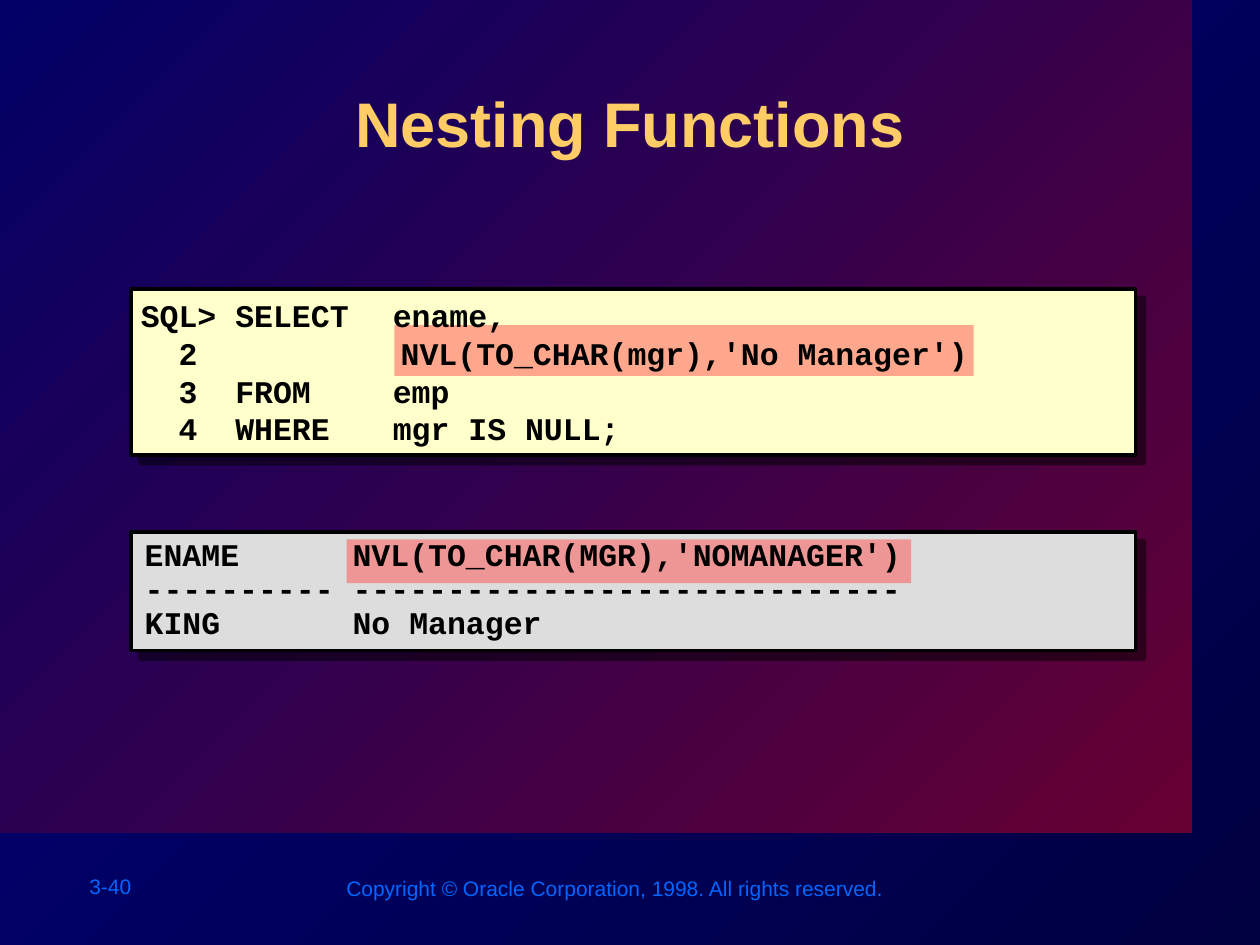
from lxml.etree import SubElement
from pptx import Presentation
from pptx.dml.color import RGBColor
from pptx.enum.shapes import MSO_SHAPE as Shape
from pptx.enum.text import MSO_ANCHOR as Anchor, PP_ALIGN as Align
from pptx.oxml import parse_xml
from pptx.oxml.ns import nsdecls, qn
from pptx.util import Pt

rgb = RGBColor.from_string
SHADOW = (f'<a:outerShdw {nsdecls("a")} blurRad="0" dist="{Pt(7.1)}" dir="2700000" algn="ctr" '
          'rotWithShape="0"><a:srgbClr val="000000"><a:alpha val="50000"/></a:srgbClr></a:outerShdw>')


def add_text(box, lines, size, color, font="Arial", bold=False, tabs=(), spacing=None):
    """Add a wrapped text box with one paragraph per line; tabs are in points."""
    frame = slide.shapes.add_textbox(*map(Pt, box)).text_frame
    frame.word_wrap = True
    frame.text = "\n".join(lines)
    for paragraph in frame.paragraphs:
        if tabs:
            tab_list = SubElement(paragraph._p.get_or_add_pPr(), qn("a:tabLst"))
            for stop in tabs:
                SubElement(tab_list, qn("a:tab"), pos=str(Pt(stop)), algn="l")
        if spacing:
            paragraph.line_spacing = spacing
        for run in paragraph.runs:
            run.font.name, run.font.size, run.font.bold = font, Pt(size), bold
            run.font.color.rgb = rgb(color)
    return frame


def fill_gradient(fill, start, end):
    fill.gradient()
    fill.gradient_angle = 315
    for stop, color in zip(fill.gradient_stops, (start, end)):
        stop.color.rgb = rgb(color)


prs = Presentation()
prs.slide_width, prs.slide_height = Pt(720), Pt(540)
slide = prs.slides.add_slide(prs.slide_layouts[6])
fill_gradient(slide.background.fill, "000080", "000040")

backdrop = slide.shapes.add_shape(Shape.RECTANGLE, 0, 0, Pt(681), Pt(475.5))
backdrop.shadow.inherit = False
backdrop.line.fill.background()
fill_gradient(backdrop.fill, "000066", "660033")

# Footer
add_text((44, 495.5, 80, 21.5), ["3-40"], 12, "0066FF")
add_text((190.8, 497, 324, 21.5), ["Copyright © Oracle Corporation, 1998. All rights reserved."],
         12, "0066FF")

# Query and result panels
for top, height, color in ((165, 95, "FFFFCC"), (304, 67.7, "DDDDDD")):
    panel = slide.shapes.add_shape(Shape.RECTANGLE, Pt(75), Pt(top), Pt(574), Pt(height))
    panel.fill.solid()
    panel.fill.fore_color.rgb = rgb(color)
    panel.line.color.rgb = rgb("000000")
    panel.line.width = Pt(2)
    panel.shadow.inherit = False
    panel._element.spPr.find(qn("a:effectLst")).append(parse_xml(SHADOW))

# Title with shadowed letters
title = add_text((72.7, 40.3, 574.6, 69), ["Nesting Functions"], 36, "FFCC66", bold=True)
title.margin_top = Pt(8)
heading = title.paragraphs[0]
heading.alignment = Align.CENTER
letter_effects = parse_xml(f'<a:effectLst {nsdecls("a")}/>')
letter_effects.append(parse_xml(SHADOW))
heading.runs[0]._r.rPr.find(qn("a:solidFill")).addnext(letter_effects)

# Highlights behind the nested call and its column heading
for box in ((225.4, 185.8, 331, 29), (198, 308.2, 322.6, 25)):
    highlight = slide.shapes.add_shape(Shape.RECTANGLE, *map(Pt, box))
    highlight.shadow.inherit = False
    highlight.line.fill.background()
    highlight.fill.solid()
    highlight.fill.fore_color.rgb = rgb("FF5050")
    color_element = highlight._element.spPr.find(qn("a:solidFill"))[0]
    SubElement(color_element, qn("a:alpha"), val="50000")

code_style = dict(size=18, color="000000", font="Courier New", bold=True, tabs=(94.5, 144))
query = add_text((73.4, 154.8, 576, 115.2), [
    "SQL> SELECT\tename,",
    "  2\t     NVL(TO_CHAR(mgr),'No Manager')",
    "  3  FROM\temp",
    "  4  WHERE\tmgr IS NULL;",
], **code_style)
query.vertical_anchor = Anchor.MIDDLE

add_text((75.6, 304.6, 571.7, 65.5), [
    "ENAME      NVL(TO_CHAR(MGR),'NOMANAGER')",
    "---------- -----------------------------",
    "KING       No Manager",
], spacing=0.9, **code_style)

prs.save("out.pptx")
